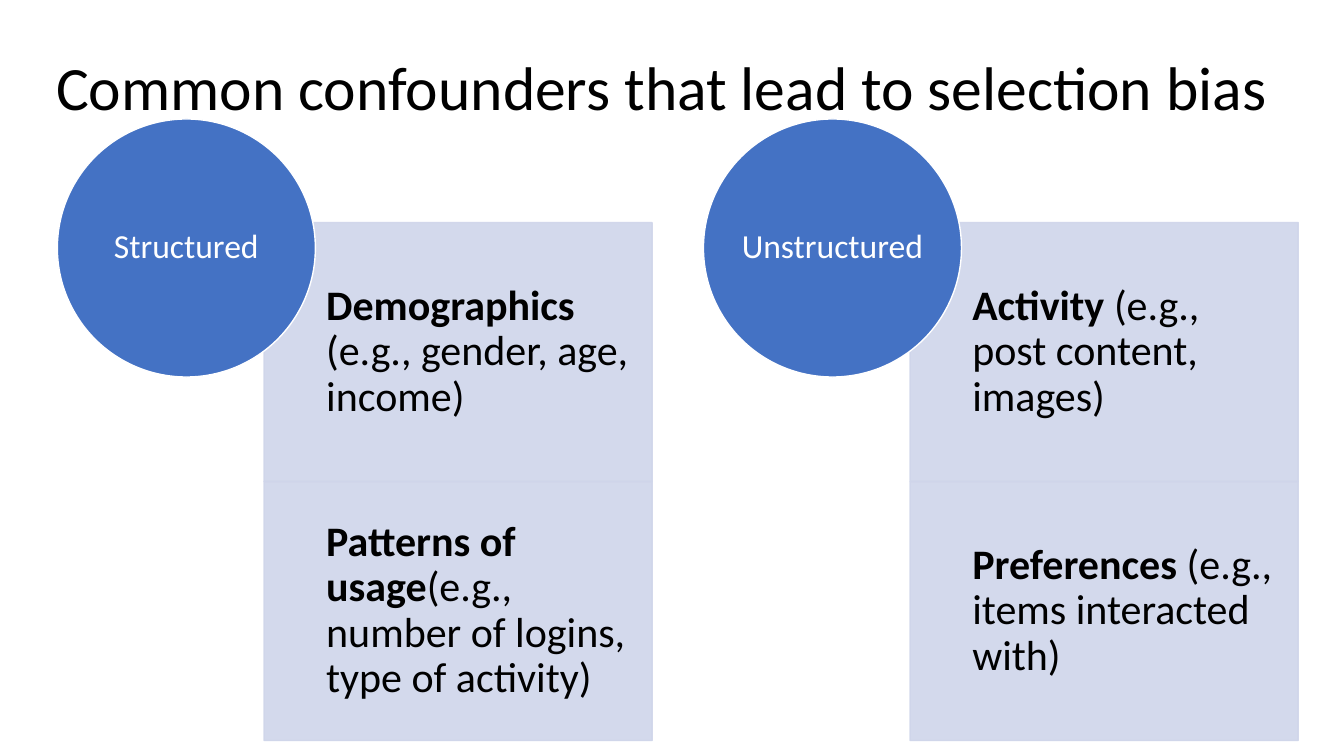
from lxml.etree import SubElement
from pptx import Presentation
from pptx.dml.color import RGBColor
from pptx.enum.shapes import MSO_SHAPE
from pptx.enum.text import MSO_ANCHOR, PP_ALIGN
from pptx.oxml.ns import qn
from pptx.util import Pt

COLORS = {"circle": "4472C4", "box": "CFD5EA", "text": "000000", "white": "FFFFFF"}
FONT = "Calibri"

GROUPS = [
    ("Structured", [
        ("Demographics ", "(e.g., gender, age, income)"),
        ("Patterns of usage", "(e.g., number of logins, type of activity)"),
    ]),
    ("Unstructured", [
        ("Activity ", "(e.g., post content, images)"),
        ("Preferences ", "(e.g., items interacted with)"),
    ]),
]
GROUP_LEFT, GROUP_STEP = 41, 461.5
CIRCLE_TOP, CIRCLE_SIZE = 85, 184.3
BOX_OFFSET, BOX_TOP, BOX_WIDTH, BOX_HEIGHT = 147.6, 159, 277.2, 185


def write_text(shape, runs, size, color, alignment, insets):
    """Fill a shape with one paragraph of (text, bold) runs; insets run left, top, right, bottom."""
    frame = shape.text_frame
    frame.word_wrap = True
    frame.vertical_anchor = MSO_ANCHOR.MIDDLE
    frame.margin_left, frame.margin_top, frame.margin_right, frame.margin_bottom = map(Pt, insets)
    paragraph = frame.paragraphs[0]
    paragraph.alignment = alignment
    paragraph.line_spacing = 0.9
    paragraph.font.name = FONT
    paragraph.font.size = Pt(size)
    paragraph.font.color.rgb = RGBColor.from_string(COLORS[color])
    for text, bold in runs:
        run = paragraph.add_run()
        run.text = text
        run.font.bold = bold


def add_filled_shape(kind, bounds, fill, line, opacity=100):
    """Add a shadowless preset shape with a 1 pt outline."""
    shape = slide.shapes.add_shape(kind, *map(Pt, bounds))
    shape.shadow.inherit = False
    shape.fill.solid()
    shape.fill.fore_color.rgb = RGBColor.from_string(COLORS[fill])
    shape.line.color.rgb = RGBColor.from_string(COLORS[line])
    shape.line.width = Pt(1)
    if opacity < 100:
        for color in shape.element.spPr.iter(qn("a:srgbClr")):
            SubElement(color, qn("a:alpha"), val=str(opacity * 1000))
    return shape


presentation = Presentation()
presentation.slide_width = Pt(960)
presentation.slide_height = Pt(540)
slide = presentation.slides.add_slide(presentation.slide_layouts[6])

title = slide.shapes.add_textbox(Pt(33), Pt(12.2), Pt(903), Pt(104.4))
write_text(title, [("Common confounders that lead to selection bias", False)],
           44, "text", PP_ALIGN.LEFT, (7.2, 3.6, 7.2, 3.6))

for column, (heading, examples) in enumerate(GROUPS):
    left = GROUP_LEFT + column * GROUP_STEP
    for row, (topic, detail) in enumerate(examples):
        box = add_filled_shape(
            MSO_SHAPE.RECTANGLE,
            (left + BOX_OFFSET, BOX_TOP + row * BOX_HEIGHT, BOX_WIDTH, BOX_HEIGHT),
            "box", "box", opacity=90)
        write_text(box, [(topic, True), (detail, False)],
                   30, "text", PP_ALIGN.LEFT, (44.4, 16.8, 16.8, 16.8))
    circle = add_filled_shape(
        MSO_SHAPE.OVAL, (left, CIRCLE_TOP, CIRCLE_SIZE, CIRCLE_SIZE), "circle", "white")
    write_text(circle, [(heading, False)], 24, "white", PP_ALIGN.CENTER, (0, 0, 0, 0))

presentation.save("out.pptx")
